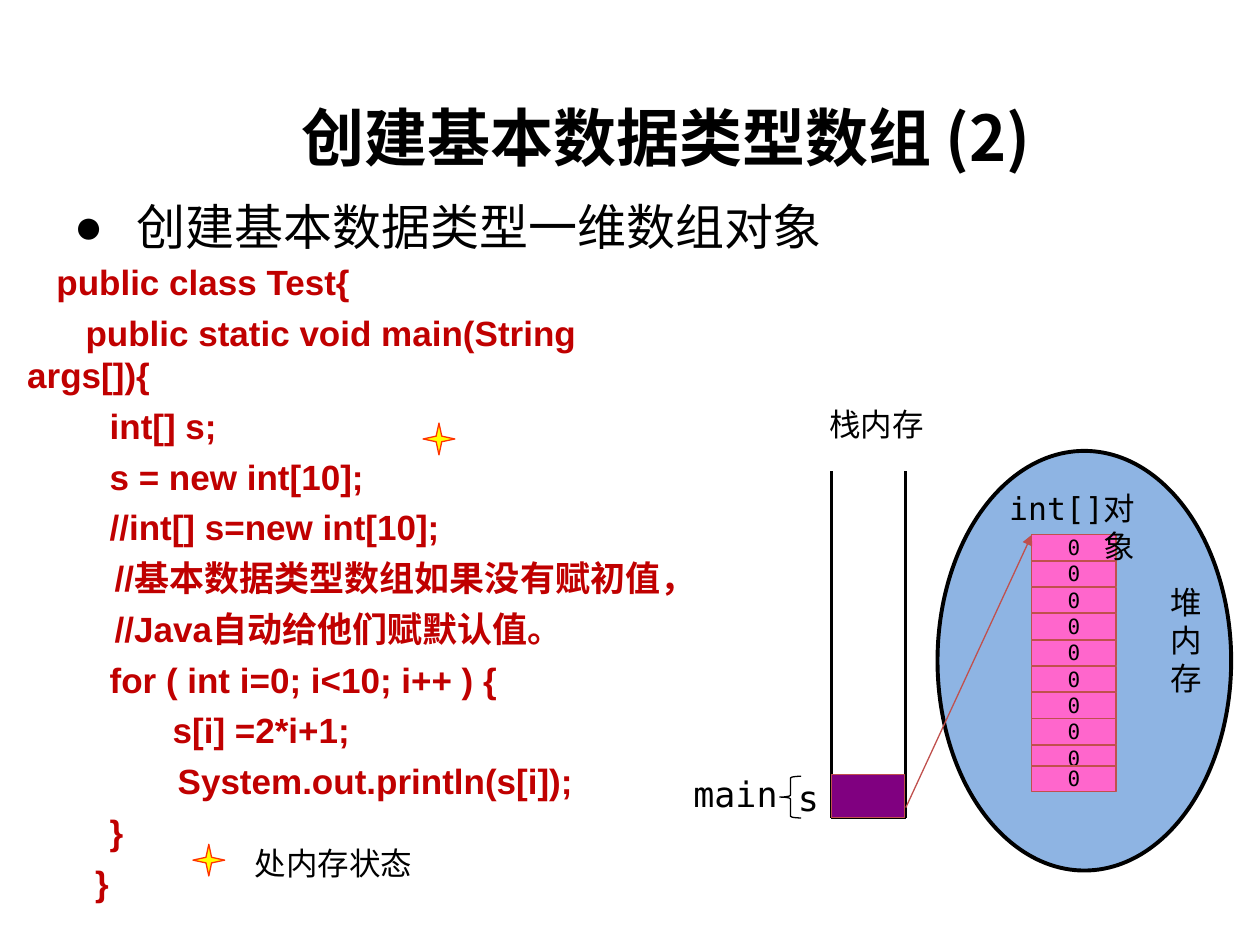
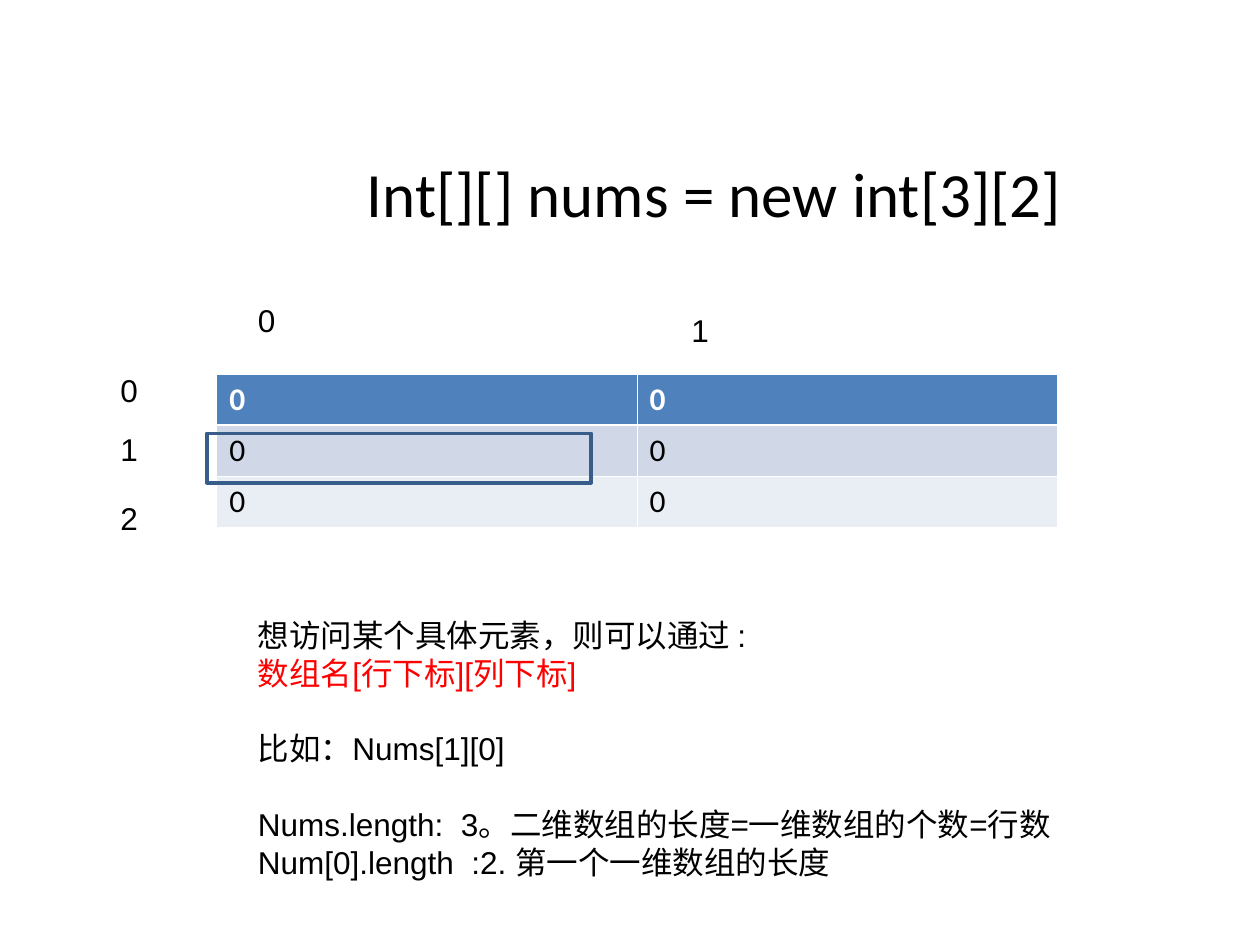
"""Build two slides on Java arrays: heap and stack memory, and a 3 by 2 array."""
from lxml import etree
from pptx import Presentation
from pptx.dml.color import RGBColor
from pptx.enum import shapes, text
from pptx.oxml import ns
from pptx.util import Cm, Pt

CJK, MONO, SANS, LATIN = "Noto Sans CJK SC", "DejaVu Sans Mono", "Arial", "Calibri"
BLACK, WHITE, RED, CODE_RED = "000000", "FFFFFF", "FF0000", "C00000"
BRICK, PINK, PURPLE, SKY = "C0504D", "FF66CC", "800080", "8EB4E3"
YELLOW, ORANGE, NAVY = "FFFF00", "FF3300", "385D8A"
LEFT, CENTER, RIGHT = text.PP_ALIGN.LEFT, text.PP_ALIGN.CENTER, text.PP_ALIGN.RIGHT
SHAPE = shapes.MSO_SHAPE

MEMORY_TITLE = "创建基本数据类型数组 (2)"
MEMORY_POINT = "创建基本数据类型一维数组对象"
CODE = [
    "   public class Test{",
    "      public static void main(String args[]){",
    "      \t  int[] s;",
    "      \t  s = new int[10];",
    "\t  //int[] s=new int[10];",
    "         //基本数据类型数组如果没有赋初值，",
    "         //Java自动给他们赋默认值。",
    "      \t  for ( int i=0; i<10; i++ ) {",
    "            \t  s[i] =2*i+1;",
    "\t         System.out.println(s[i]);",
    "      \t  }",
    "       }",
]
MEMORY_LABELS = [
    ("main", (13.39, 15.44, 2.54, 1.12), 20, 0.13),
    ("s", (15.49, 15.65, 1.27, 0.84), 20, 0),
    ("栈内存", (15.49, 8.03, 3.38, 1.02), 18, 0.13),
    ("int[]对象", (19.53, 9.73, 3.61, 1.02), 18, 0.13),
    ("堆内存", (23.34, 11.63, 1.07, 2.54), 18, 0.13),
    ("处内存状态", (3.05, 17.02, 5.51, 0.76), 18, 0),
]
STARS = [(3.89, 17.02), (8.53, 8.53)]
STACK_LEFT, STACK_RIGHT, STACK_TOP, STACK_BOTTOM = 16.76, 18.26, 9.5, 16.48
ITEMS = ["0"] * 10
ITEM_LEFT, ITEM_TOP, ITEM_STEP, LAST_ITEM_TOP = 20.8, 10.78, 0.53, 15.44

GRID_TITLE = "Int[][] nums = new int[3][2]"
GRID = [("0", "0"), ("0", "0"), ("0", "0")]
ROW_FILLS = ["4F81BD", "D0D8E8", "E9EDF4"]
INDEXES = [("0", 2.18, 7.34), ("1", 2.18, 8.53), ("2", 2.18, 9.93),
           ("0", 4.95, 5.94), ("1", 13.69, 6.15)]
NOTES = [
    ("想访问某个具体元素，则可以通过 :", BLACK, 0),
    ("数组名[行下标][列下标]", RED, 0),
    ("比如：Nums[1][0]", BLACK, 21.6),
    ("Nums.length:  3。二维数组的长度=一维数组的个数=行数", BLACK, 21.6),
    ("Num[0].length  :2. 第一个一维数组的长度", BLACK, 0),
]


def rgb(color):
    return RGBColor.from_string(color)


def place(sp, box):
    sp.left, sp.top, sp.width, sp.height = (Cm(v) for v in box)


def add_run(p, words, size, font, color=BLACK, bold=False):
    r = p.add_run()
    r.text = words
    r.font.size, r.font.name, r.font.bold = Pt(size), font, bold
    r.font.color.rgb = rgb(color)
    etree.SubElement(r.font._element, ns.qn("a:ea"), typeface=CJK)


def fill_frame(tf, lines, size, font, align=LEFT, bold=False, pad=0.13):
    """Write (words, colour, space before) lines into a text frame."""
    tf.word_wrap, tf.auto_size = True, text.MSO_AUTO_SIZE.NONE
    tf.margin_left = tf.margin_right = Cm(0.25)
    tf.margin_top = tf.margin_bottom = Cm(pad)
    for i, (words, color, before) in enumerate(lines):
        p = tf.add_paragraph() if i else tf.paragraphs[0]
        p.alignment, p.space_before = align, Pt(before)
        add_run(p, words, size, font, color, bold)


def add_text(s, box, lines, size, font, **style):
    sp = s.shapes.add_textbox(*(Cm(v) for v in box))
    fill_frame(sp.text_frame, lines, size, font, **style)


def add_title(s, words, box, font, bold):
    place(s.shapes.title, box)
    fill_frame(s.shapes.title.text_frame, [(words, BLACK, 0)], 36, font, CENTER, bold)


def add_figure(s, kind, box, fill, line, width=0.75):
    sp = s.shapes.add_shape(kind, *(Cm(v) for v in box))
    sp.shadow.inherit = False
    if fill:
        sp.fill.solid()
        sp.fill.fore_color.rgb = rgb(fill)
    else:
        sp.fill.background()
    sp.line.color.rgb, sp.line.width = rgb(line), Pt(width)
    return sp


def add_line(s, ends, color, width, arrow=False):
    cx = s.shapes.add_connector(shapes.MSO_CONNECTOR.STRAIGHT, *(Cm(v) for v in ends))
    cx.line.color.rgb, cx.line.width = rgb(color), Pt(width)
    if arrow:
        etree.SubElement(cx.line._get_or_add_ln(), ns.qn("a:tailEnd"), type="triangle")
    etree.SubElement(cx._element.spPr, ns.qn("a:effectLst"))


def add_point(sp, words, box):
    place(sp, box)
    fill_frame(sp.text_frame, [(words, BLACK, 0)], 28, CJK)
    pPr = sp.text_frame.paragraphs[0]._p.get_or_add_pPr()
    pPr.set("marL", str(Cm(1.27)))
    pPr.set("indent", str(-Cm(1.27)))
    color = etree.SubElement(pPr, ns.qn("a:buClr"))
    etree.SubElement(color, ns.qn("a:srgbClr"), val=BLACK)
    etree.SubElement(pPr, ns.qn("a:buChar"), char="●")


def set_borders(cell, widths):
    tcPr = cell._tc.get_or_add_tcPr()
    for side, width in zip("LRTB", widths):
        ln = etree.SubElement(tcPr, ns.qn("a:ln" + side), w=str(Pt(width)))
        fill = etree.SubElement(ln, ns.qn("a:solidFill"))
        etree.SubElement(fill, ns.qn("a:srgbClr"), val=WHITE)


def add_grid(s, rows, box):
    table = s.shapes.add_table(len(rows), len(rows[0]), *(Cm(v) for v in box)).table
    for i, row in enumerate(rows):
        header = i == 0
        for j, value in enumerate(row):
            cell = table.cell(i, j)
            set_borders(cell, (0.45, 0.45, 1.47 if i == 1 else 0.45, 1.47 if header else 0.45))
            cell.fill.solid()
            cell.fill.fore_color.rgb = rgb(ROW_FILLS[i])
            add_run(cell.text_frame.paragraphs[0], value, 18, LATIN,
                    WHITE if header else BLACK, header)


def build_memory(prs):
    s = prs.slides.add_slide(prs.slide_layouts[1])
    add_title(s, MEMORY_TITLE, (4.37, 1.78, 18.11, 1.93), CJK, True)
    add_point(s.placeholders[1], MEMORY_POINT, (1.24, 3.84, 19.25, 1.45))
    for x in (STACK_LEFT, STACK_RIGHT):
        add_line(s, (x, STACK_TOP, x, STACK_BOTTOM), BLACK, 1.5)
    add_line(s, (STACK_LEFT, STACK_BOTTOM, STACK_RIGHT, STACK_BOTTOM), BLACK, 1.5)
    add_figure(s, SHAPE.LEFT_BRACE, (15.72, 15.65, 0.43, 0.84), None, BLACK)
    add_figure(s, SHAPE.RECTANGLE, (STACK_LEFT, 15.62, 1.48, 0.86), PURPLE, BRICK)
    add_figure(s, SHAPE.OVAL, (18.9, 9.09, 5.92, 8.46), SKY, BLACK, 2.25)
    for i, value in enumerate(ITEMS):
        top = min(ITEM_TOP + i * ITEM_STEP, LAST_ITEM_TOP)
        sp = add_figure(s, SHAPE.RECTANGLE, (ITEM_LEFT, top, 1.7, 0.52), PINK, BRICK)
        fill_frame(sp.text_frame, [(value, BLACK, 0)], 12, MONO, CENTER, pad=0)
        sp.text_frame.vertical_anchor = text.MSO_ANCHOR.TOP
    add_line(s, (STACK_RIGHT, 16.28, ITEM_LEFT, ITEM_TOP), BRICK, 0.75, arrow=True)
    for words, box, size, pad in MEMORY_LABELS:
        add_text(s, box, [(words, BLACK, 0)], size, MONO, align=RIGHT, pad=pad)
    lines = [(line, CODE_RED, 5 if i else 0) for i, line in enumerate(CODE)]
    add_text(s, (0.3, 5.13, 13.64, 13.9), lines, 20, SANS, bold=True)
    for x, y in STARS:
        add_figure(s, SHAPE.STAR_4_POINT, (x, y, 0.64, 0.64), YELLOW, ORANGE)


def build_grid(prs):
    s = prs.slides.add_slide(prs.slide_layouts[5])
    add_title(s, GRID_TITLE, (2.97, 2.59, 22.86, 2.59), LATIN, False)
    add_grid(s, GRID, (4.37, 7.54, 16.94, 3.1))
    add_figure(s, SHAPE.RECTANGLE, (4.17, 8.74, 7.75, 0.99), None, NAVY, 2.25)
    for words, x, y in INDEXES:
        add_text(s, (x, y, 1.78, 1.02), [(words, BLACK, 0)], 18, SANS)
    add_text(s, (4.95, 12.29, 19.25, 6.35), NOTES, 18, SANS)


def main():
    prs = Presentation()
    prs.slide_width, prs.slide_height = Cm(25.4), Cm(19.05)
    build_memory(prs)
    build_grid(prs)
    prs.save("out.pptx")


if __name__ == "__main__":
    main()
